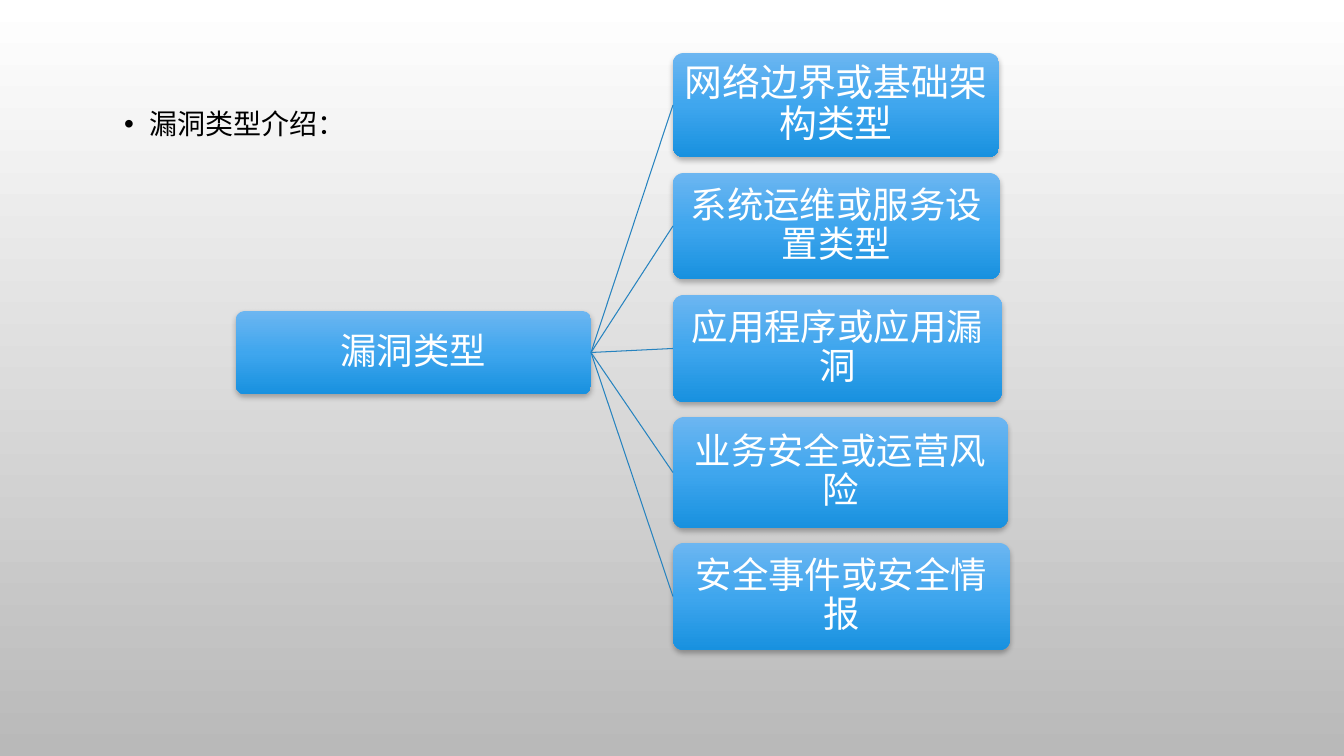
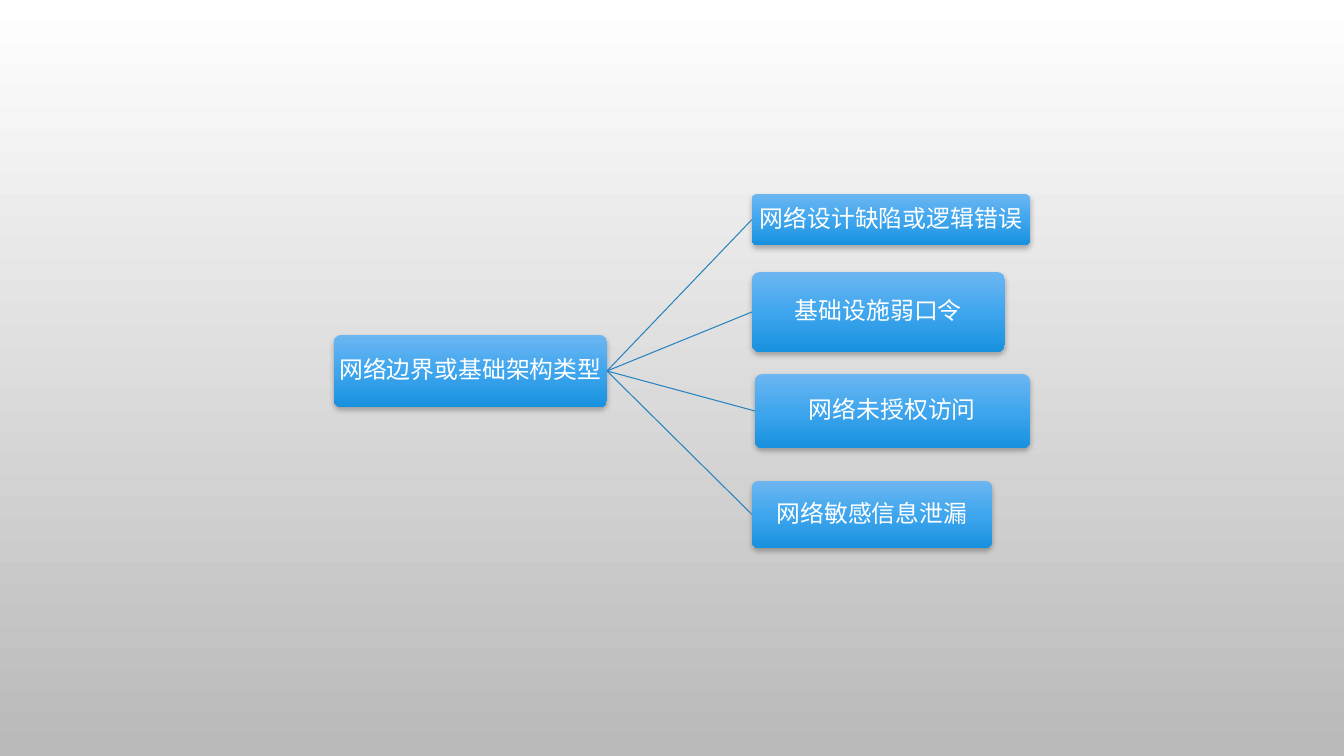
"""Builds two slides that map vulnerability types as left-to-right trees."""
from copy import deepcopy

from lxml.etree import SubElement
from pptx import Presentation
from pptx.dml.color import RGBColor
from pptx.enum.shapes import MSO_CONNECTOR as CONNECTOR, MSO_SHAPE as SHAPE
from pptx.enum.text import MSO_ANCHOR as ANCHOR, PP_ALIGN as ALIGN
from pptx.oxml.ns import qn
from pptx.util import Pt

PX = 914400 / 100.8
FONT = "Cabin"
BACKDROP = ("FFFFFF", "B9B9B9")
NODE_BLUES = ("6CB6F1", "3FA6EE", "1891DF")
BRANCH_BLUE, WHITE, BLACK = "2683BF", "FFFFFF", "000000"
LEFT_SITE, RIGHT_SITE = 1, 3


def rgb(colour):
    return RGBColor.from_string(colour)


def add_node(slide, label, size, inset, box):
    node = slide.shapes.add_shape(SHAPE.ROUNDED_RECTANGLE, *(round(v * PX) for v in box))
    node.adjustments[0] = 0.1
    node.line.fill.background()
    node.fill.gradient()
    node.fill.gradient_angle = 270
    properties = node._element.spPr
    stops = properties.find(qn("a:gradFill")).find(qn("a:gsLst"))
    middle = deepcopy(stops[0])
    middle.set("pos", "50000")
    stops.insert(1, middle)
    for stop, blue in zip(node.fill.gradient_stops, NODE_BLUES):
        stop.color.rgb = rgb(blue)

    node.shadow.inherit = False
    shadow = SubElement(properties.find(qn("a:effectLst")), qn("a:outerShdw"),
                        blurRad=str(Pt(4)), dist=str(Pt(2)), dir="5400000", rotWithShape="0")
    shade = SubElement(shadow, qn("a:srgbClr"), val=BLACK)
    SubElement(shade, qn("a:alpha"), val="28000")

    frame = node.text_frame
    frame.word_wrap = True
    frame.vertical_anchor = ANCHOR.MIDDLE
    frame.margin_left = frame.margin_right = round(inset * PX)
    frame.margin_top = frame.margin_bottom = round(inset * PX)
    frame.text = label
    paragraph = frame.paragraphs[0]
    paragraph.alignment = ALIGN.CENTER
    paragraph.line_spacing = 0.9
    paragraph.font.name = FONT
    paragraph.font.size = Pt(size)
    paragraph.font.color.rgb = rgb(WHITE)
    return node


deck = Presentation()
deck.slide_width, deck.slide_height = round(1344 * PX), round(756 * PX)
backdrop = deck.slide_master.background.fill
backdrop.gradient()
backdrop.gradient_angle = 270
for stop, grey in zip(backdrop.gradient_stops, BACKDROP):
    stop.color.rgb = rgb(grey)

overview = deck.slides.add_slide(deck.slide_layouts[1])
network = deck.slides.add_slide(deck.slide_layouts[6])

title = overview.shapes.title._element
title.getparent().remove(title)
intro = overview.placeholders[1]
intro.left, intro.top, intro.width, intro.height = (round(v * PX) for v in (114, 95, 1142, 377))
intro.text_frame.text = "漏洞类型介绍："
heading = intro.text_frame.paragraphs[0]
heading.line_spacing = 1.2
heading.space_before = Pt(10)
heading.font.name = FONT
heading.font.size = Pt(20)
heading.font.color.rgb = rgb(BLACK)
indent = round(25 * PX)
heading_format = heading._p.get_or_add_pPr()
heading_format.set("marL", str(indent))
heading_format.set("indent", str(-indent))

trees = [
    (overview, 5, ("漏洞类型", 26, (236, 311, 355, 83)), [
        ("网络边界或基础架构类型", 27, (673, 53, 326, 104)),
        ("系统运维或服务设置类型", 26, (673, 173, 327, 106)),
        ("应用程序或应用漏洞", 26, (673, 295, 329, 107)),
        ("业务安全或运营风险", 26, (673, 417, 335, 111)),
        ("安全事件或安全情报", 26, (673, 543, 337, 107)),
    ]),
    (network, 3, ("网络边界或基础架构类型", 17, (334, 335, 273, 72)), [
        ("网络设计缺陷或逻辑错误", 17, (752, 194, 278, 51)),
        ("基础设施弱口令", 17, (752, 272, 253, 80)),
        ("网络未授权访问", 17, (755, 374, 275, 74)),
        ("网络敏感信息泄漏", 17, (752, 481, 240, 67)),
    ]),
]

for slide, inset, (root_label, root_size, root_box), children in trees:
    root = add_node(slide, root_label, root_size, inset, root_box)
    for label, size, box in children:
        child = add_node(slide, label, size, inset, box)
        branch = slide.shapes.add_connector(CONNECTOR.STRAIGHT, 0, 0, 0, 0)
        branch.begin_connect(root, RIGHT_SITE)
        branch.end_connect(child, LEFT_SITE)
        branch.line.color.rgb = rgb(BRANCH_BLUE)
        branch.line.width = Pt(0.75)
        SubElement(branch._element.spPr, qn("a:effectLst"))

deck.save("out.pptx")
